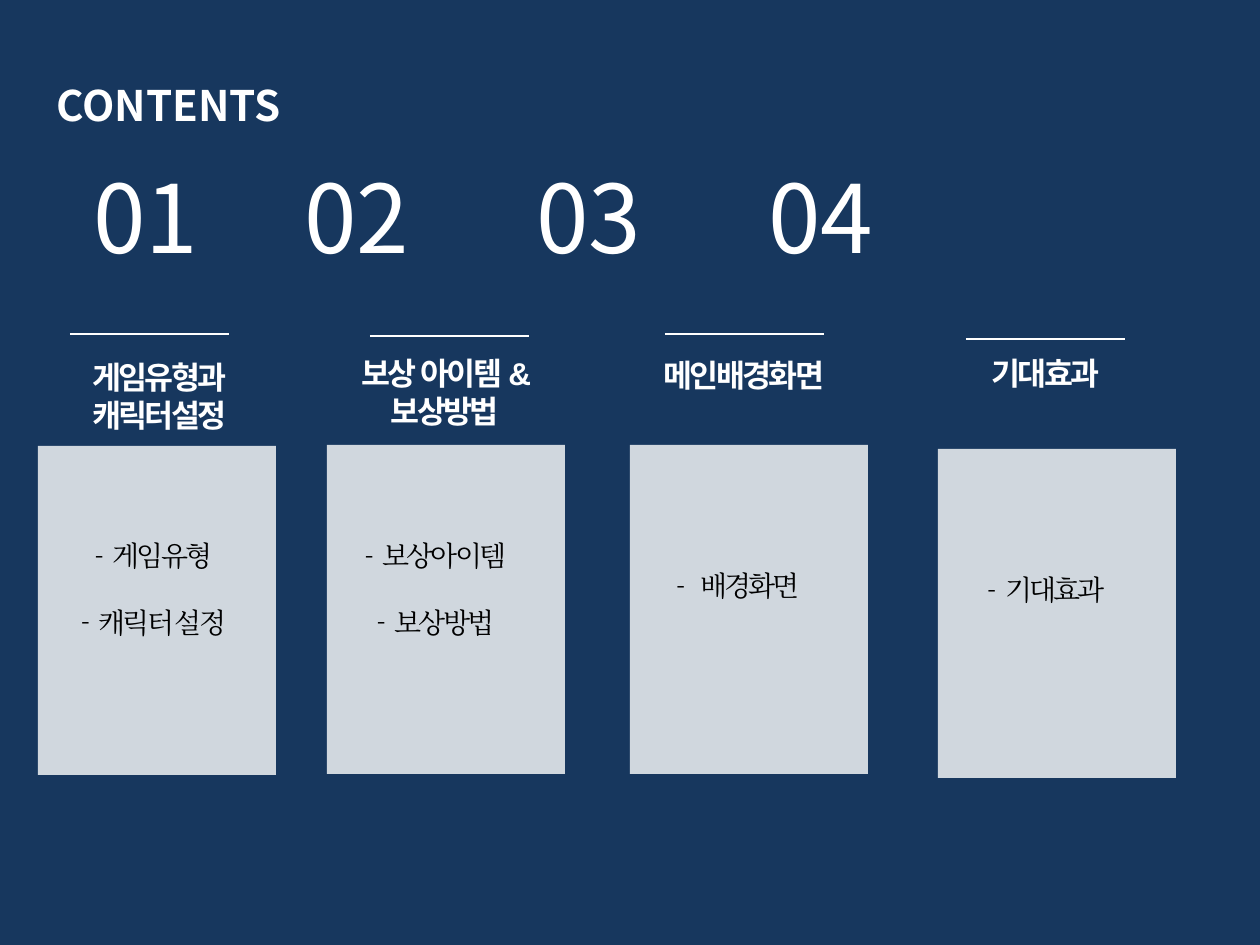
from dataclasses import dataclass

from lxml.etree import SubElement
from pptx import Presentation
from pptx.dml.color import RGBColor
from pptx.enum.shapes import MSO_CONNECTOR, MSO_SHAPE
from pptx.enum.text import MSO_ANCHOR as Anchor, MSO_AUTO_SIZE, PP_ALIGN as Align
from pptx.oxml.ns import qn
from pptx.util import Pt

EMU_PER_PX = 914400 / 126
COMPARISON_LAYOUT = 4
CARD_WIDTH, CARD_HEIGHT = 238, 329
RULE_WIDTH = 159
NUMBER_TABS = (41, 252, 484, 716)


@dataclass(frozen=True)
class Theme:
    background: str = "17375E"
    light: str = "FFFFFF"
    dark: str = "000000"
    card_opacity: int = 80
    display_font: str = "Noto Sans CJK KR"
    heading_font: str = "Arial"
    list_font: str = "Cambria"
    title_size: int = 24
    number_size: int = 54
    heading_size: int = 18
    list_size: int = 16
    item_gap: int = 19
    tight: int = -150


@dataclass(frozen=True)
class Box:
    left: int
    top: int
    width: int
    height: int


@dataclass(frozen=True)
class Section:
    heading: tuple[str, ...]
    items: tuple[str, ...]
    card_left: int
    card_top: int
    rule_left: int
    rule_top: int
    heading_box: Box
    list_box: Box
    bullet_gap: int = 18


THEME = Theme()
SECTIONS = (
    Section(("게임유형과", "캐릭터설정"), ("게임유형", "캐릭터 설정"),
            38, 446, 70, 334, Box(9, 352, 301, 89), Box(59, 532, 189, 183)),
    Section(("보상 아이템 & 보상방법",), ("보상아이템", "보상방법"),
            327, 445, 370, 336, Box(331, 348, 228, 89), Box(341, 532, 189, 115)),
    Section(("메인배경화면",), ("배경화면",),
            630, 445, 665, 334, Box(630, 350, 228, 50), Box(619, 562, 238, 47), 24),
    Section(("기대효과",), ("기대효과",),
            938, 449, 966, 339, Box(895, 348, 301, 50), Box(954, 566, 184, 47)),
)


def px(length: int) -> int:
    return round(length * EMU_PER_PX)


def place(shape, box: Box) -> None:
    shape.left, shape.top = px(box.left), px(box.top)
    shape.width, shape.height = px(box.width), px(box.height)


def write(shape, lines: tuple[str, ...], *, font: str, size: int, color: str,
          bold: bool = False, align=Align.CENTER, anchor=Anchor.TOP,
          spacing: int = 0, gap: int = 0) -> None:
    """Fill a shape with one paragraph per line, gap points apart."""
    frame = shape.text_frame
    frame.word_wrap = True
    frame.auto_size = MSO_AUTO_SIZE.NONE
    frame.vertical_anchor = anchor
    for index, line in enumerate(lines):
        paragraph = frame.paragraphs[0] if index == 0 else frame.add_paragraph()
        paragraph.alignment = align
        paragraph.space_before = Pt(gap if index else 0)
        run = paragraph.add_run()
        run.text = line
        run.font.name = font
        run.font.size = Pt(size)
        run.font.bold = bold
        run.font.color.rgb = RGBColor.from_string(color)
        properties = run.font._element
        properties.set("spc", str(spacing))
        east_asian = SubElement(properties, qn("a:ea"))
        east_asian.set("typeface", font)


def add_text(slide, box: Box, lines: tuple[str, ...], **text_format):
    shape = slide.shapes.add_textbox(0, 0, 0, 0)
    place(shape, box)
    write(shape, lines, **text_format)
    return shape


def add_dashes(shape, gap: int) -> None:
    for paragraph in shape.text_frame.paragraphs:
        properties = paragraph._p.get_or_add_pPr()
        properties.set("marL", str(px(gap)))
        properties.set("indent", str(-px(gap)))
        SubElement(properties, qn("a:buFont")).set("typeface", THEME.list_font)
        SubElement(properties, qn("a:buChar")).set("char", "-")


def add_card(slide, left: int, top: int):
    card = slide.shapes.add_shape(MSO_SHAPE.RECTANGLE, 0, 0, 0, 0)
    place(card, Box(left, top, CARD_WIDTH, CARD_HEIGHT))
    card.shadow.inherit = False
    card.line.fill.background()
    card.fill.solid()
    card.fill.fore_color.rgb = RGBColor.from_string(THEME.light)
    color = card.element.spPr.find(f"{qn('a:solidFill')}/{qn('a:srgbClr')}")
    SubElement(color, qn("a:alpha")).set("val", str(THEME.card_opacity * 1000))
    return card


def add_rule(slide, left: int, top: int) -> None:
    rule = slide.shapes.add_connector(
        MSO_CONNECTOR.STRAIGHT, px(left), px(top), px(left + RULE_WIDTH), px(top))
    rule.line.color.rgb = RGBColor.from_string(THEME.light)
    rule.line.width = Pt(0.75)
    SubElement(rule.element.spPr, qn("a:effectLst"))


def add_numbers(slide) -> None:
    labels = "".join(f"\t{number:02d}" for number in range(1, len(SECTIONS) + 1))
    shape = add_text(slide, Box(40, 152, 1206, 127), (labels,),
                     font=THEME.display_font, size=THEME.number_size,
                     color=THEME.light, align=Align.LEFT, anchor=Anchor.MIDDLE)
    properties = shape.text_frame.paragraphs[0]._p.get_or_add_pPr()
    tab_list = SubElement(properties, qn("a:tabLst"))
    for position in NUMBER_TABS:
        tab = SubElement(tab_list, qn("a:tab"))
        tab.set("pos", str(px(position)))
        tab.set("algn", "l")


def add_section(slide, section: Section, body) -> None:
    card = add_card(slide, section.card_left, section.card_top)
    card.element.addnext(body.element)  # the list lies on top of its card
    add_rule(slide, section.rule_left, section.rule_top)
    add_text(slide, section.heading_box, section.heading,
             font=THEME.heading_font, size=THEME.heading_size,
             color=THEME.light, bold=True, spacing=THEME.tight)
    place(body, section.list_box)
    write(body, section.items, font=THEME.list_font, size=THEME.list_size,
          color=THEME.dark, spacing=THEME.tight, gap=THEME.item_gap)
    add_dashes(body, section.bullet_gap)


def main() -> None:
    presentation = Presentation()
    presentation.slide_width, presentation.slide_height = px(1260), px(945)
    slide = presentation.slides.add_slide(presentation.slide_layouts[COMPARISON_LAYOUT])
    slide.background.fill.solid()
    slide.background.fill.fore_color.rgb = RGBColor.from_string(THEME.background)

    title, *bodies = list(slide.placeholders)
    place(title, Box(44, 73, 576, 63))
    write(title, ("CONTENTS",), font=THEME.display_font, size=THEME.title_size,
          color=THEME.light, bold=True, align=Align.LEFT, anchor=Anchor.MIDDLE)
    add_numbers(slide)
    for section, body in zip(SECTIONS, bodies):
        add_section(slide, section, body)
    presentation.save("out.pptx")


if __name__ == "__main__":
    main()
